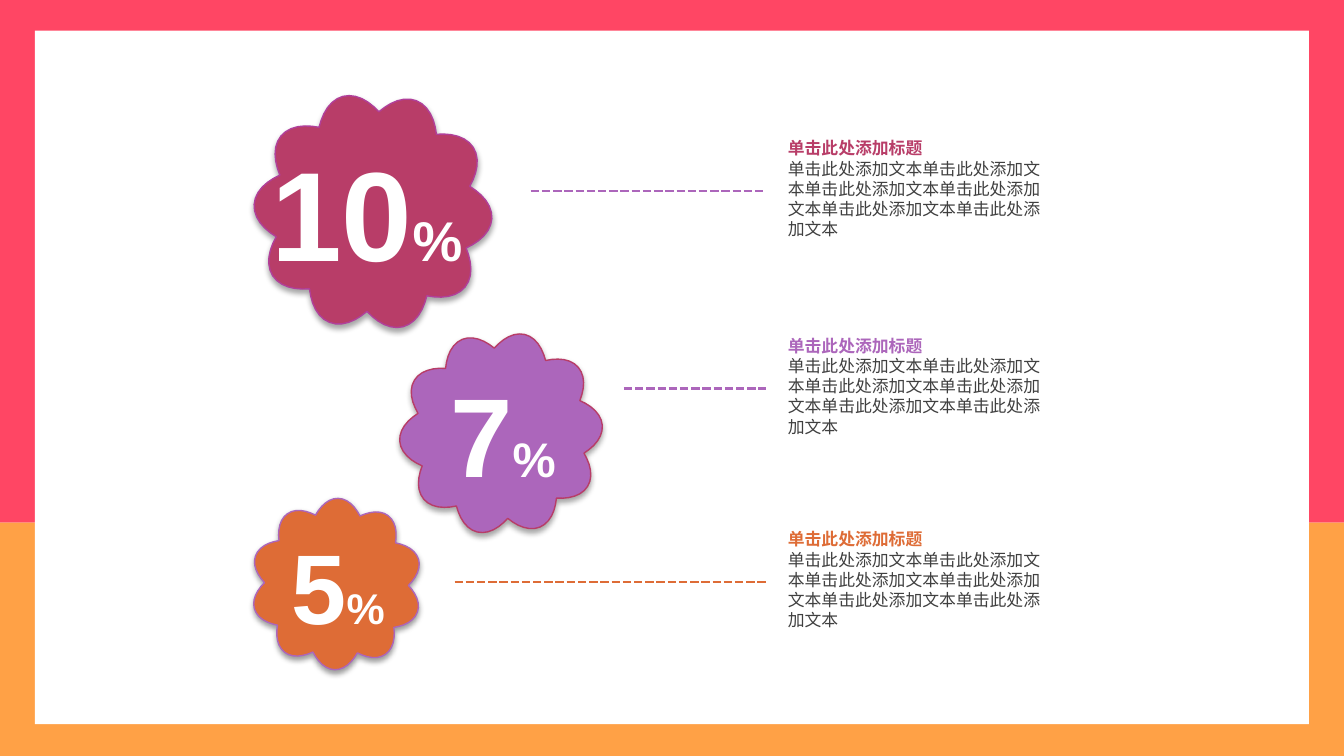
from math import cos, pi, sin

from pptx import Presentation
from pptx.dml.color import RGBColor
from pptx.enum.dml import MSO_LINE
from pptx.enum.shapes import MSO_CONNECTOR, MSO_SHAPE
from pptx.enum.text import MSO_AUTO_SIZE
from pptx.oxml import parse_xml
from pptx.oxml.ns import nsdecls, qn
from pptx.util import Cm, Pt

RECTANGLE = MSO_SHAPE.RECTANGLE
STRAIGHT = MSO_CONNECTOR.STRAIGHT
SHORT_DASH = MSO_LINE.SQUARE_DOT
FIT_SHAPE = MSO_AUTO_SIZE.SHAPE_TO_FIT_TEXT

WHITE = RGBColor(0xFF, 0xFF, 0xFF)
RED = RGBColor(0xFF, 0x46, 0x64)
AMBER = RGBColor(0xFF, 0xA1, 0x46)
CRIMSON = RGBColor(0xB8, 0x3D, 0x68)
MAGENTA = RGBColor(0xB1, 0x3F, 0x9A)
PURPLE = RGBColor(0xAC, 0x66, 0xBB)
ORANGE = RGBColor(0xDE, 0x6C, 0x36)
GREY = RGBColor(0x40, 0x40, 0x40)

WIDTH, HEIGHT = 25.4, 14.29
BAND_SPLIT = 9.88
LINE_END = 14.48
TEXT_LEFT, TEXT_WIDTH, TEXT_HEIGHT = 14.71, 5.41, 2.49
TEXT_RISE = 1.1
PETALS = 10
STEPS = 12 * PETALS

HEADING = "单击此处添加标题"
BODY = "单击此处添加文本" * 6

ITEMS = [
    {"flower": (7.05, 4.0, 2.25, 3.4), "colors": (CRIMSON, MAGENTA),
     "number": "10", "sizes": (68, 30), "box": (4.95, 2.44, 4.32, 3.1),
     "line": (10.03, 3.61, PURPLE), "shadow": (35, 1.8)},
    {"flower": (9.47, 8.19, 1.92, -4.5), "colors": (PURPLE, CRIMSON),
     "number": "7", "sizes": (60, 26), "box": (8.33, 6.81, 2.49, 2.77),
     "line": (11.79, 7.34, PURPLE), "shadow": (35, 1.8)},
    {"flower": (6.36, 11.04, 1.62, 19.1), "colors": (ORANGE, PURPLE),
     "number": "5", "sizes": (53, 23), "box": (5.33, 9.83, 2.24, 2.46),
     "line": (8.59, 11.0, ORANGE), "shadow": (38, 1.6)},
]


class Painter:
    font_name = "Arial"
    frame_format = {
        "word_wrap": True, "auto_size": FIT_SHAPE,
        "margin_left": Cm(0.18), "margin_right": Cm(0.18),
        "margin_top": Cm(0.1), "margin_bottom": Cm(0.1),
    }

    def __init__(self, page):
        self.page = page

    def panel(self, left, top, width, height, color):
        panel = self.page.shapes.add_shape(
            RECTANGLE, Cm(left), Cm(top), Cm(width), Cm(height))
        panel.shadow.inherit = False
        panel.fill.solid()
        panel.fill.fore_color.rgb = color
        panel.line.fill.background()

    def flower(self, center_x, center_y, radius, turn, colors, shadow):
        """Draw petals as sine arches; turn is the first notch, in degrees from up."""
        points = []
        for step in range(STEPS):
            reach = radius * (0.84 + 0.16 * abs(sin(pi * PETALS * step / STEPS)))
            angle = turn * pi / 180 + 2 * pi * step / STEPS
            points.append((Cm(center_x + reach * sin(angle)),
                           Cm(center_y - reach * cos(angle))))
        builder = self.page.shapes.build_freeform(*points[0])
        builder.add_line_segments(points[1:], close=True)
        flower = builder.convert_to_shape()
        flower.fill.solid()
        flower.fill.fore_color.rgb, flower.line.color.rgb = colors
        flower.line.width = Pt(0.75)
        self.drop_shadow(flower, *shadow)

    def drop_shadow(self, shape, opacity, distance):
        shape.shadow.inherit = False
        effects = shape.element.spPr.find(qn("a:effectLst"))
        effects.append(parse_xml(
            f'<a:outerShdw {nsdecls("a")} blurRad="{Pt(3.1)}" dist="{Pt(distance)}" '
            'dir="5400000" rotWithShape="0"><a:srgbClr val="000000">'
            f'<a:alpha val="{opacity * 1000}"/></a:srgbClr></a:outerShdw>'))

    def dashed_line(self, start, height, color):
        line = self.page.shapes.add_connector(
            STRAIGHT, Cm(start), Cm(height), Cm(LINE_END), Cm(height))
        line.line.color.rgb = color
        line.line.width = Pt(1.5)
        line.line.dash_style = SHORT_DASH
        line.element.spPr.append(parse_xml(f'<a:effectLst {nsdecls("a")}/>'))

    def text_frame(self, left, top, width, height):
        box = self.page.shapes.add_textbox(Cm(left), Cm(top), Cm(width), Cm(height))
        for name, value in self.frame_format.items():
            setattr(box.text_frame, name, value)
        return box.text_frame

    def span(self, para, text, size, color, bold=True):
        span = para.add_run()
        span.text = text
        font_format = {"name": self.font_name, "size": Pt(size), "bold": bold}
        for name, value in font_format.items():
            setattr(span.font, name, value)
        span.font.color.rgb = color

    def percentage(self, box, number, sizes):
        para = self.text_frame(*box).paragraphs[0]
        properties = para._p.get_or_add_pPr()
        properties.set("marL", str(Cm(0.48)))
        properties.set("indent", str(Cm(-0.48)))
        for text, size in zip((number, "%"), sizes):
            self.span(para, text, size, WHITE)

    def description(self, top, color):
        frame = self.text_frame(TEXT_LEFT, top, TEXT_WIDTH, TEXT_HEIGHT)
        self.span(frame.paragraphs[0], HEADING, 9, color)
        self.span(frame.add_paragraph(), BODY, 9, GREY, bold=False)


def main():
    deck = Presentation()
    deck.slide_width, deck.slide_height = Cm(WIDTH), Cm(HEIGHT)
    painter = Painter(deck.slides.add_slide(deck.slide_layouts[6]))

    painter.panel(0, 0, WIDTH, BAND_SPLIT, RED)
    painter.panel(0, BAND_SPLIT, WIDTH, HEIGHT - BAND_SPLIT, AMBER)
    painter.panel(0.66, 0.58, 24.08, 13.11, WHITE)

    for item in ITEMS:
        start, height, line_color = item["line"]
        painter.flower(*item["flower"], item["colors"], item["shadow"])
        painter.dashed_line(start, height, line_color)
        painter.description(height - TEXT_RISE, item["colors"][0])
        painter.percentage(item["box"], item["number"], item["sizes"])

    deck.save("out.pptx")


if __name__ == "__main__":
    main()
